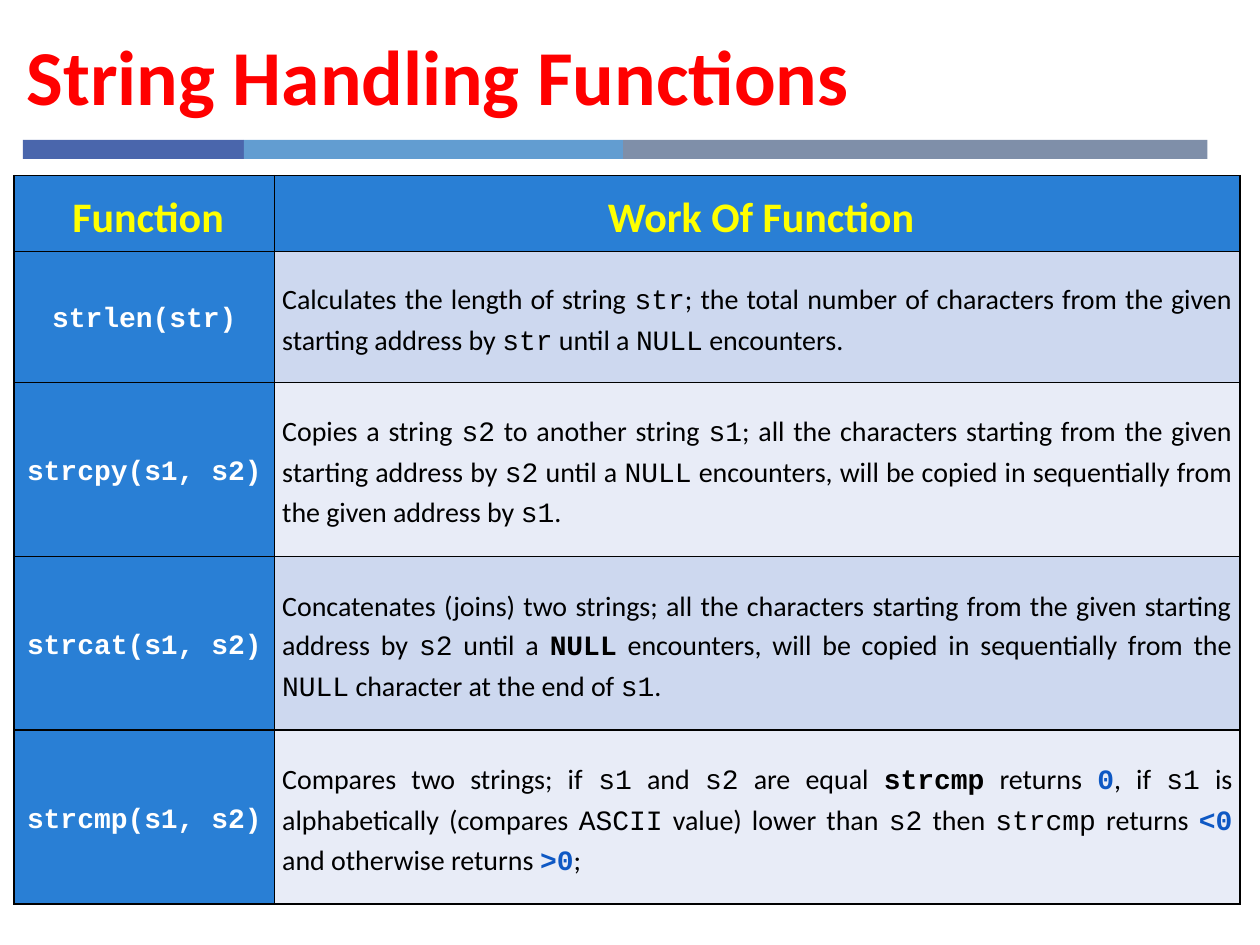
"""Build a slide with a table of C string handling functions."""
from lxml.etree import SubElement
from pptx import Presentation
from pptx.dml.color import RGBColor
from pptx.enum.shapes import MSO_SHAPE
from pptx.enum.text import MSO_ANCHOR, MSO_AUTO_SIZE, PP_ALIGN
from pptx.oxml.ns import qn
from pptx.util import Pt

THEME = {
    "sans": "Calibri", "mono": "Courier New",
    "title": 44.4, "head": 24, "body": 16,
    "red": "FF0000", "yellow": "FFFF00", "white": "FFFFFF",
    "black": "000000", "link": "0E58C4", "blue": "297FD5",
    "bands": ("CDD8EF", "E8ECF7"),
}
STYLES = {
    "title": ("sans", "title", "red", True),
    "head": ("sans", "head", "yellow", True),
    "name": ("mono", "body", "white", True),
    "text": ("sans", "body", "black", False),
    "code": ("mono", "body", "black", False),
    "bold": ("mono", "body", "black", True),
    "value": ("mono", "body", "link", True),
}
TITLE = "String Handling Functions"
HEADS = ("Function", "Work Of Function")
ROWS = [
    ("strlen(str)", [
        ("Calculates the length of string ", "text"), ("str", "code"),
        ("; the total number of characters from the given starting address by ", "text"),
        ("str", "code"), (" until a ", "text"), ("NULL", "code"),
        (" encounters. ", "text")]),
    ("strcpy(s1, s2)", [
        ("Copies a string ", "text"), ("s2", "code"),
        (" to another string ", "text"), ("s1", "code"),
        ("; all the characters starting from the given starting address by ", "text"),
        ("s2", "code"), (" until a ", "text"), ("NULL", "code"),
        (" encounters, will be copied in sequentially from the given address by ", "text"),
        ("s1", "code"), (".", "text")]),
    ("strcat(s1, s2)", [
        ("Concatenates (joins) two strings; all the characters starting "
         "from the given starting address by ", "text"),
        ("s2", "code"), (" until a ", "text"), ("NULL", "bold"),
        (" encounters, will be copied in sequentially from the ", "text"),
        ("NULL", "code"), (" character at the end of ", "text"),
        ("s1", "code"), (".", "text")]),
    ("strcmp(s1, s2)", [
        ("Compares two strings; if ", "text"), ("s1", "code"),
        (" and ", "text"), ("s2", "code"), (" are equal ", "text"),
        ("strcmp", "bold"), (" returns ", "text"), ("0", "value"),
        (", if ", "text"), ("s1", "code"),
        (" is alphabetically (compares ", "text"), ("ASCII", "code"),
        (" value) lower than ", "text"), ("s2", "code"), (" then ", "text"),
        ("strcmp", "code"), (" returns ", "text"), ("<0 ", "value"),
        ("and otherwise returns ", "text"), (">0", "value"), ("; ", "text")]),
]
BARS = [(126.4, "4A66AC"), (216.6, "629DD1"), (334, "7F8FA9")]
COLS = (149, 551.5)
HEIGHTS = (43.2, 74.9, 99.4, 99.4, 99.4)


def add_runs(para, runs):
    for text, kind in runs:
        face, size, tint, bold = STYLES[kind]
        run = para.add_run()
        run.text = text
        run.font.name = THEME[face]
        run.font.size = Pt(THEME[size])
        run.font.color.rgb = RGBColor.from_string(THEME[tint])
        run.font.bold = bold


def add_title(slide):
    title = slide.shapes.title
    title.left, title.top, title.width, title.height = map(Pt, (8, 12.2, 515.5, 79.2))
    frame = title.text_frame
    frame.auto_size = MSO_AUTO_SIZE.NONE
    frame.vertical_anchor = MSO_ANCHOR.TOP
    para = frame.paragraphs[0]
    para.alignment = PP_ALIGN.LEFT
    para.space_before = Pt(20)
    add_runs(para, [(TITLE, "title")])


def add_bars(slide):
    left = 13
    for width, tint in BARS:
        bar = slide.shapes.add_shape(
            MSO_SHAPE.RECTANGLE, Pt(left), Pt(80), Pt(width), Pt(10.8))
        bar.shadow.inherit = False
        bar.fill.solid()
        bar.fill.fore_color.rgb = RGBColor.from_string(tint)
        bar.line.fill.background()
        left += width


def add_borders(cell):
    props = cell._tc.get_or_add_tcPr()
    for at, side in enumerate(("lnL", "lnR", "lnT", "lnB")):
        line = SubElement(props, qn(f"a:{side}"), w=str(Pt(1)))
        fill = SubElement(line, qn("a:solidFill"))
        SubElement(fill, qn("a:srgbClr"), val=THEME["black"])
        props.insert(at, line)


def fill_cell(cell, runs, align, tint, insets):
    cell.fill.solid()
    cell.fill.fore_color.rgb = RGBColor.from_string(tint)
    cell.vertical_anchor = MSO_ANCHOR.MIDDLE
    (cell.margin_left, cell.margin_top,
     cell.margin_right, cell.margin_bottom) = map(Pt, insets)
    para = cell.text_frame.paragraphs[0]
    para.alignment = align
    para.line_spacing = 1.15
    add_runs(para, runs)
    add_borders(cell)


def add_grid(slide):
    grid = slide.shapes.add_table(
        len(HEIGHTS), len(COLS), Pt(8), Pt(100.4),
        Pt(sum(COLS)), Pt(sum(HEIGHTS))).table
    for col, width in zip(grid.columns, COLS):
        col.width = Pt(width)
    for row, height in zip(grid.rows, HEIGHTS):
        row.height = Pt(height)
    for at, head in enumerate(HEADS):
        fill_cell(grid.cell(0, at), [(head, "head")], PP_ALIGN.CENTER,
                  THEME["blue"], (4.3, 2, 0, 1.4))
    insets = (4.3, 1.4, 4.3, 0)
    for at, (name, work) in enumerate(ROWS):
        fill_cell(grid.cell(at + 1, 0), [(name, "name")], PP_ALIGN.CENTER,
                  THEME["blue"], insets)
        fill_cell(grid.cell(at + 1, 1), work, PP_ALIGN.JUSTIFY,
                  THEME["bands"][at % 2], insets)


def main():
    deck = Presentation()
    deck.slide_width, deck.slide_height = Pt(720), Pt(540)
    slide = deck.slides.add_slide(deck.slide_layouts[5])
    add_bars(slide)
    add_grid(slide)
    add_title(slide)
    deck.save("out.pptx")


if __name__ == "__main__":
    main()
